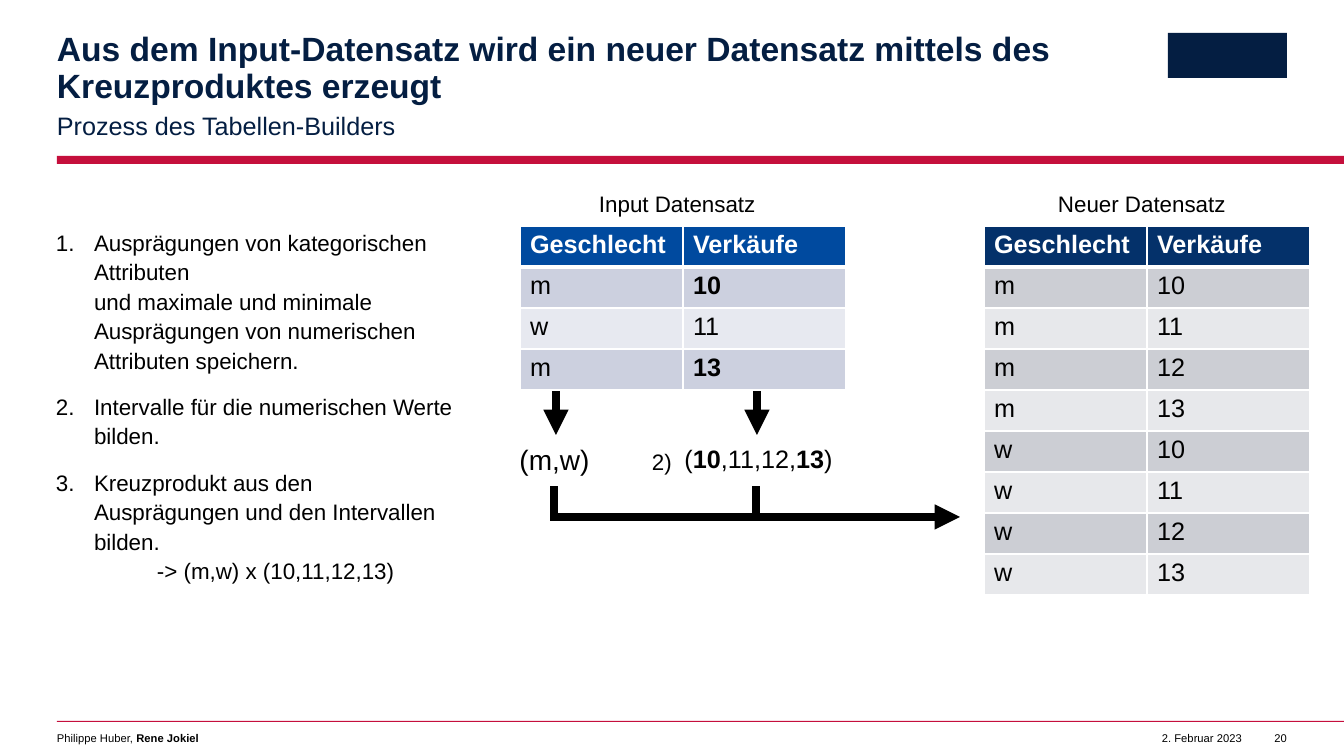
"""Builds the slide on deriving a new data set by cross product."""
from lxml.etree import SubElement
from pptx import Presentation
from pptx.dml.color import RGBColor
from pptx.enum.shapes import MSO_CONNECTOR, MSO_SHAPE
from pptx.enum.text import MSO_ANCHOR, PP_ALIGN
from pptx.oxml.ns import qn
from pptx.util import Pt

PX = 914400 / 100.8
NAVY, RED, BLACK, WHITE = "041E42", "C50F3C", "000000", "FFFFFF"
ROW_HEIGHT, COLUMN_WIDTH = 41, 163
STEP_INDENT, STEP_TAB = 38, 101

BARS = [(57, 156, 1287, 8, RED), (57, 721, 1287, 1, RED), (1168, 33, 119, 45, NAVY)]

HEADER = ("Geschlecht", "Verkäufe")
INPUT_ROWS = [("m", "10"), ("w", "11"), ("m", "13")]
NEW_ROWS = [(sex, str(sales)) for sex in "mw" for sales in range(10, 14)]
TABLES = [
    (520, 226, INPUT_ROWS, {"10", "13"}, "004A9F", ("CCD0DF", "E7E9F0")),
    (984, 226, NEW_ROWS, set(), "04316A", ("CCCED4", "E7E8EB")),
]

ARROWS = [(556, 390, 556, 435), (757, 390, 757, 435), (854, 517, 960, 517)]
STEMS = [(551, 517, 859, 517), (554, 521, 554, 486), (756, 521, 756, 486)]

STEPS = [
    "Ausprägungen von kategorischen Attributen\n"
    "und maximale und minimale Ausprägungen von numerischen Attributen speichern.",
    "Intervalle für die numerischen Werte bilden.",
    "Kreuzprodukt aus den Ausprägungen und den Intervallen bilden.\n"
    "\t-> (m,w) x (10,11,12,13)",
]
TITLE = ("Aus dem Input-Datensatz wird ein neuer Datensatz "
         "mittels des Kreuzproduktes erzeugt")
INTERVAL = [("(", False), ("10", True), (",11,12,", False), ("13", True), (")", False)]
AUTHORS = [("Philippe Huber, ", False), ("Rene Jokiel", True)]
LABEL = {"size": 16, "spacing": 1.1}
PADDED = {"inset": (10, 5, 10, 5), "align": PP_ALIGN.CENTER}
RIGHT = {"size": 8, "align": PP_ALIGN.RIGHT, "wrap": False}

TEXTS = [
    ((57, 32, 1055, 74), [TITLE],
     {"size": 24, "color": NAVY, "bold": True, "spacing": 0.9, "anchor": MSO_ANCHOR.MIDDLE}),
    ((57, 108, 1055, 31), ["Prozess des Tabellen-Builders"],
     {"size": 18, "color": NAVY, "spacing": 1.1, "anchor": MSO_ANCHOR.MIDDLE}),
    ((56, 226, 400, 360), STEPS, {**LABEL, "after": 12, "numbered": True}),
    ((599, 188, 178, 27), ["Input Datensatz"], LABEL),
    ((1058, 188, 178, 27), ["Neuer Datensatz"], LABEL),
    ((509, 437, 91, 44), ["(m,w)"], {"size": 20, **PADDED}),
    ((671, 438, 175, 40), [INTERVAL], {"size": 18, **PADDED}),
    ((652, 446, 45, 27), ["2)"], LABEL),
    ((57, 731, 1055, 13), [AUTHORS], {"size": 8}),
    ((1148, 731, 94, 13), ["2. Februar 2023"], RIGHT),
    ((1266, 731, 21, 13), ["20"], RIGHT),
]


def px(*lengths):
    return [round(length * PX) for length in lengths]


def rgb(color):
    return RGBColor.from_string(color)


def write(para, content, size, color=BLACK, bold=False):
    spans = [(content, bold)] if isinstance(content, str) else content
    for text, heavy in spans:
        for index, line in enumerate(text.split("\n")):
            if index:
                para.add_line_break()
            span = para.add_run()
            span.text = line
            span.font.name = "Arial"
            span.font.size = Pt(size)
            span.font.bold = heavy
            span.font.color.rgb = rgb(color)


def add_number(para):
    indent, stop = px(STEP_INDENT, STEP_TAB)
    properties = para._p.get_or_add_pPr()
    properties.set("marL", str(indent))
    properties.set("indent", str(-indent))
    SubElement(properties, qn("a:buFont"), typeface="+mj-lt")
    SubElement(properties, qn("a:buAutoNum"), type="arabicPeriod")
    tabs = SubElement(properties, qn("a:tabLst"))
    SubElement(tabs, qn("a:tab"), pos=str(stop), algn="l")


def add_text(page, place, paragraphs, size, color=BLACK, bold=False, spacing=1.0,
             after=0, align=PP_ALIGN.LEFT, anchor=MSO_ANCHOR.TOP,
             inset=(0, 0, 0, 0), wrap=True, numbered=False):
    frame = page.shapes.add_textbox(*px(*place)).text_frame
    frame.word_wrap = wrap
    frame.vertical_anchor = anchor
    (frame.margin_left, frame.margin_top,
     frame.margin_right, frame.margin_bottom) = px(*inset)
    for index, content in enumerate(paragraphs):
        para = frame.add_paragraph() if index else frame.paragraphs[0]
        para.alignment = align
        para.line_spacing = spacing
        para.space_after = Pt(after)
        if numbered:
            add_number(para)
        write(para, content, size, color, bold)


def add_bar(page, left, top, width, height, color):
    bar = page.shapes.add_shape(MSO_SHAPE.RECTANGLE, *px(left, top, width, height))
    bar.shadow.inherit = False
    bar.fill.solid()
    bar.fill.fore_color.rgb = rgb(color)
    bar.line.fill.background()


def add_line(page, ends, arrow):
    line = page.shapes.add_connector(MSO_CONNECTOR.STRAIGHT, *px(*ends))
    line.line.color.rgb = rgb(BLACK)
    line.line.width = Pt(6)
    properties = line._element.spPr
    if arrow:
        SubElement(properties.find(qn("a:ln")), qn("a:tailEnd"), type="triangle")
    SubElement(properties, qn("a:effectLst"))


def add_borders(cell, bottom):
    properties = cell._tc.get_or_add_tcPr()
    for side, width in (("lnL", 1), ("lnR", 1), ("lnT", 1), ("lnB", bottom)):
        border = SubElement(properties, qn(f"a:{side}"), w=str(Pt(width)))
        fill = SubElement(border, qn("a:solidFill"))
        SubElement(fill, qn("a:srgbClr"), val=WHITE)


def add_data(page, left, top, rows, bold_values, header_fill, bands):
    lines = [HEADER, *rows]
    size = px(left, top, COLUMN_WIDTH * len(HEADER), ROW_HEIGHT * len(lines))
    table = page.shapes.add_table(len(lines), len(HEADER), *size).table
    for column in table.columns:
        column.width = px(COLUMN_WIDTH)[0]
    for row, values in enumerate(lines):
        table.rows[row].height = px(ROW_HEIGHT)[0]
        for column, value in enumerate(values):
            cell = table.cell(row, column)
            add_borders(cell, 1 if row else 3)
            cell.fill.solid()
            cell.fill.fore_color.rgb = rgb(bands[(row - 1) % 2] if row else header_fill)
            write(cell.text_frame.paragraphs[0], value, 18,
                  BLACK if row else WHITE, not row or value in bold_values)


def main():
    deck = Presentation()
    deck.slide_width, deck.slide_height = px(1344, 756)
    page = deck.slides.add_slide(deck.slide_layouts[6])
    for bar in BARS:
        add_bar(page, *bar)
    for ends in ARROWS:
        add_line(page, ends, arrow=True)
    for ends in STEMS:
        add_line(page, ends, arrow=False)
    for table in TABLES:
        add_data(page, *table)
    for place, paragraphs, style in TEXTS:
        add_text(page, place, paragraphs, **style)
    deck.save("out.pptx")


if __name__ == "__main__":
    main()
